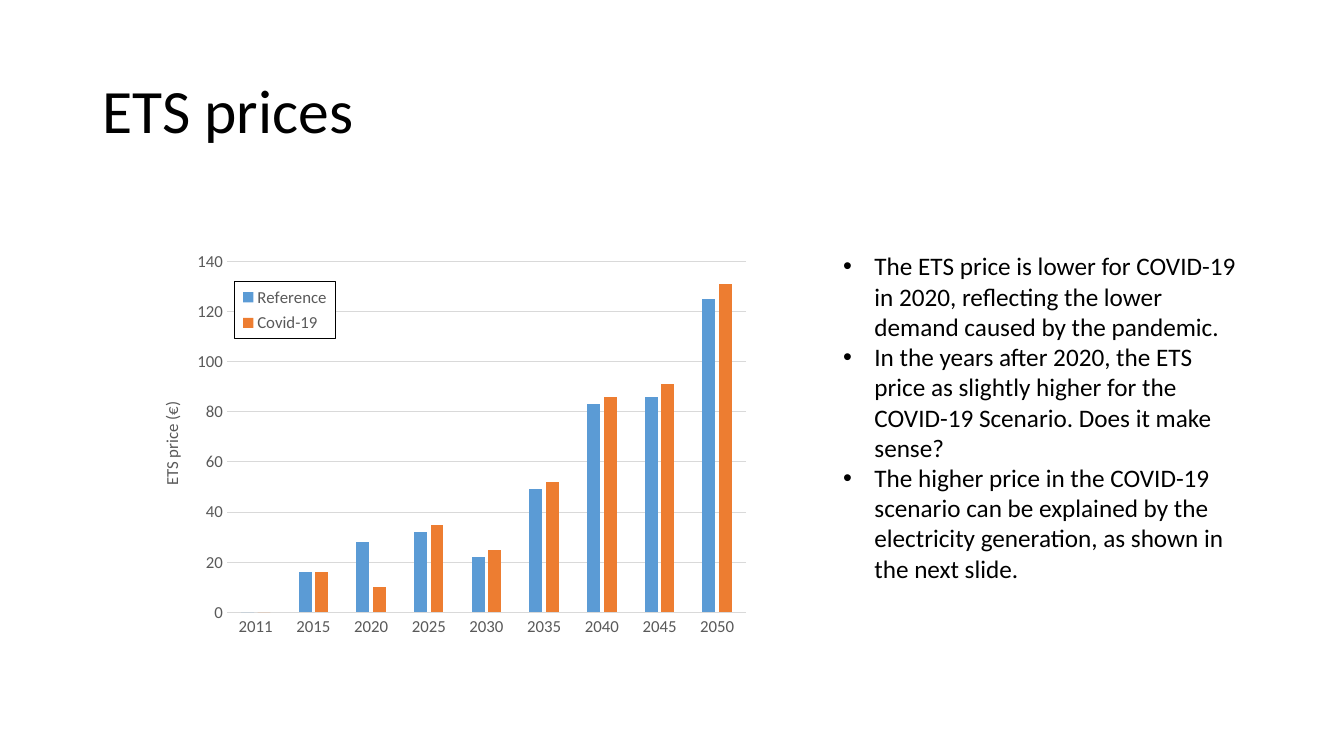
from dataclasses import dataclass

from lxml import etree
from pptx import Presentation
from pptx.chart.data import CategoryChartData
from pptx.dml.color import RGBColor
from pptx.enum.chart import XL_CHART_TYPE, XL_LEGEND_POSITION, XL_TICK_MARK
from pptx.enum.text import MSO_ANCHOR
from pptx.oxml import parse_xml
from pptx.oxml.ns import qn
from pptx.util import Inches, Pt

COLUMNS = XL_CHART_TYPE.COLUMN_CLUSTERED
LEGEND_RIGHT = XL_LEGEND_POSITION.RIGHT
NO_TICK = XL_TICK_MARK.NONE
TOP, MIDDLE = MSO_ANCHOR.TOP, MSO_ANCHOR.MIDDLE

WIDTH, HEIGHT = Inches(13.33), Inches(7.5)
FONT = "Calibri"
BLACK, GREY, GRID = "000000", "595959", "D9D9D9"
CHART_NS = "http://schemas.openxmlformats.org/drawingml/2006/chart"
DRAWING_NS = "http://schemas.openxmlformats.org/drawingml/2006/main"


@dataclass(frozen=True)
class Area:
    """A rectangle in shares of its container."""
    left: float
    top: float
    width: float
    height: float

    def on_slide(self) -> tuple:
        """Return the rectangle in slide units."""
        return (int(self.left * WIDTH), int(self.top * HEIGHT),
                int(self.width * WIDTH), int(self.height * HEIGHT))


@dataclass(frozen=True)
class PriceSeries:
    """One scenario of prices."""
    name: str
    color: str
    prices: tuple


TITLE_AREA = Area(0.069, 0.053, 0.863, 0.193)
CHART_AREA = Area(0.117, 0.325, 0.455, 0.528)
NOTES_AREA = Area(0.62, 0.325, 0.311, 0.457)
PLOT_AREA = Area(0.114, 0.039, 0.849, 0.88)
LEGEND_AREA = Area(0.127, 0.09, 0.164, 0.143)

YEARS = ("2011", *(str(year) for year in range(2015, 2051, 5)))
SCENARIOS = (
    PriceSeries("Reference", "5B9BD5", (0, 16, 28, 32, 22, 49, 83, 86, 125)),
    PriceSeries("Covid-19", "ED7D31", (0, 16, 10, 35, 25, 52, 86, 91, 131)),
)
NOTES = (
    "The ETS price is lower for COVID-19 in 2020, reflecting the lower demand "
    "caused by the pandemic.",
    "In the years after 2020, the ETS price as slightly higher for the "
    "COVID-19 Scenario. Does it make sense?",
    "The higher price in the COVID-19 scenario can be explained by the "
    "electricity generation, as shown in the next slide.",
)


def rgb(color: str) -> RGBColor:
    """Turn a hex string into a colour."""
    return RGBColor.from_string(color)


def style_font(font, size: float, color: str) -> None:
    """Set the face, size and colour of a font."""
    font.name, font.size, font.bold = FONT, Pt(size), False
    font.color.rgb = rgb(color)


def style_line(line, color: str) -> None:
    """Give a chart line its colour and hairline width."""
    line.color.rgb = rgb(color)
    line.width = Pt(0.75)


def add_text(page, area: Area, texts: tuple, size: float, anchor):
    """Add a wrapped text box with one paragraph per text."""
    frame = page.shapes.add_textbox(*area.on_slide()).text_frame
    frame.word_wrap = True
    frame.vertical_anchor = anchor
    frame.text = "\n".join(texts)
    for para in frame.paragraphs:
        for span in para.runs:
            style_font(span.font, size, BLACK)
    return frame


def add_bullet(para) -> None:
    """Give a paragraph a hanging round bullet."""
    settings = para._p.get_or_add_pPr()
    indent = Inches(0.31)
    settings.set("marL", str(indent))
    settings.set("indent", str(-indent))
    etree.SubElement(settings, qn("a:buFont")).set("typeface", "Arial")
    etree.SubElement(settings, qn("a:buChar")).set("char", "•")


def place_part(part, area: Area, position: int, inner: bool = False) -> None:
    """Fix the place of a chart part with a manual layout."""
    for old in part.findall(qn("c:layout")):
        part.remove(old)
    layout = etree.Element(qn("c:layout"))
    manual = etree.SubElement(layout, qn("c:manualLayout"))
    settings = [("layoutTarget", "inner")] if inner else []
    settings += [("xMode", "edge"), ("yMode", "edge"),
                 ("x", area.left), ("y", area.top),
                 ("w", area.width), ("h", area.height)]
    for name, value in settings:
        etree.SubElement(manual, qn(f"c:{name}")).set("val", str(value))
    part.insert(position, layout)


def style_axes(chart) -> None:
    """Style both axes, the gridlines and the axis title."""
    years, prices = chart.category_axis, chart.value_axis
    for axis in (years, prices):
        axis.major_tick_mark = axis.minor_tick_mark = NO_TICK
        style_font(axis.tick_labels.font, 12, GREY)
    style_line(years.format.line, GRID)
    prices.format.line.fill.background()
    prices.minimum_scale, prices.maximum_scale, prices.major_unit = 0, 140, 20
    prices.has_major_gridlines = True
    style_line(prices.major_gridlines.format.line, GRID)
    frame = prices.axis_title.text_frame
    frame.text = "ETS price (€)"
    style_font(frame.paragraphs[0].runs[0].font, 12, GREY)


def add_legend(chart) -> None:
    """Add the framed legend over the plot."""
    chart.has_legend = True
    legend = chart.legend
    legend.position = LEGEND_RIGHT
    legend.include_in_layout = True
    style_font(legend.font, 12, GREY)
    place_part(legend._element, LEGEND_AREA, 1)
    frame = parse_xml(
        f'<c:spPr xmlns:c="{CHART_NS}" xmlns:a="{DRAWING_NS}">'
        '<a:solidFill><a:srgbClr val="FFFFFF"/></a:solidFill>'
        f'<a:ln w="9525"><a:solidFill><a:srgbClr val="{BLACK}"/>'
        '</a:solidFill></a:ln></c:spPr>')
    legend._element.find(qn("c:txPr")).addprevious(frame)


def add_price_chart(page) -> None:
    """Add the clustered columns of prices by year."""
    data = CategoryChartData()
    data.categories = YEARS
    for scenario in SCENARIOS:
        data.add_series(scenario.name, scenario.prices)
    chart = page.shapes.add_chart(COLUMNS, *CHART_AREA.on_slide(), data).chart
    chart.has_title = False
    style_font(chart.font, 12, BLACK)
    plot = chart.plots[0]
    plot.gap_width, plot.overlap, plot.vary_by_categories = 219, -27, False
    for series, scenario in zip(plot.series, SCENARIOS):
        series.format.fill.solid()
        series.format.fill.fore_color.rgb = rgb(scenario.color)
    style_axes(chart)
    add_legend(chart)
    place_part(chart._chartSpace.chart.plotArea, PLOT_AREA, 0, inner=True)


def build() -> None:
    """Build and save the deck."""
    deck = Presentation()
    deck.slide_width, deck.slide_height = WIDTH, HEIGHT
    page = deck.slides.add_slide(deck.slide_layouts[6])
    title = add_text(page, TITLE_AREA, ("ETS prices",), 44, MIDDLE)
    title.paragraphs[0].line_spacing = 0.9
    add_price_chart(page)
    for para in add_text(page, NOTES_AREA, NOTES, 18, TOP).paragraphs:
        add_bullet(para)
    deck.save("out.pptx")


build()
